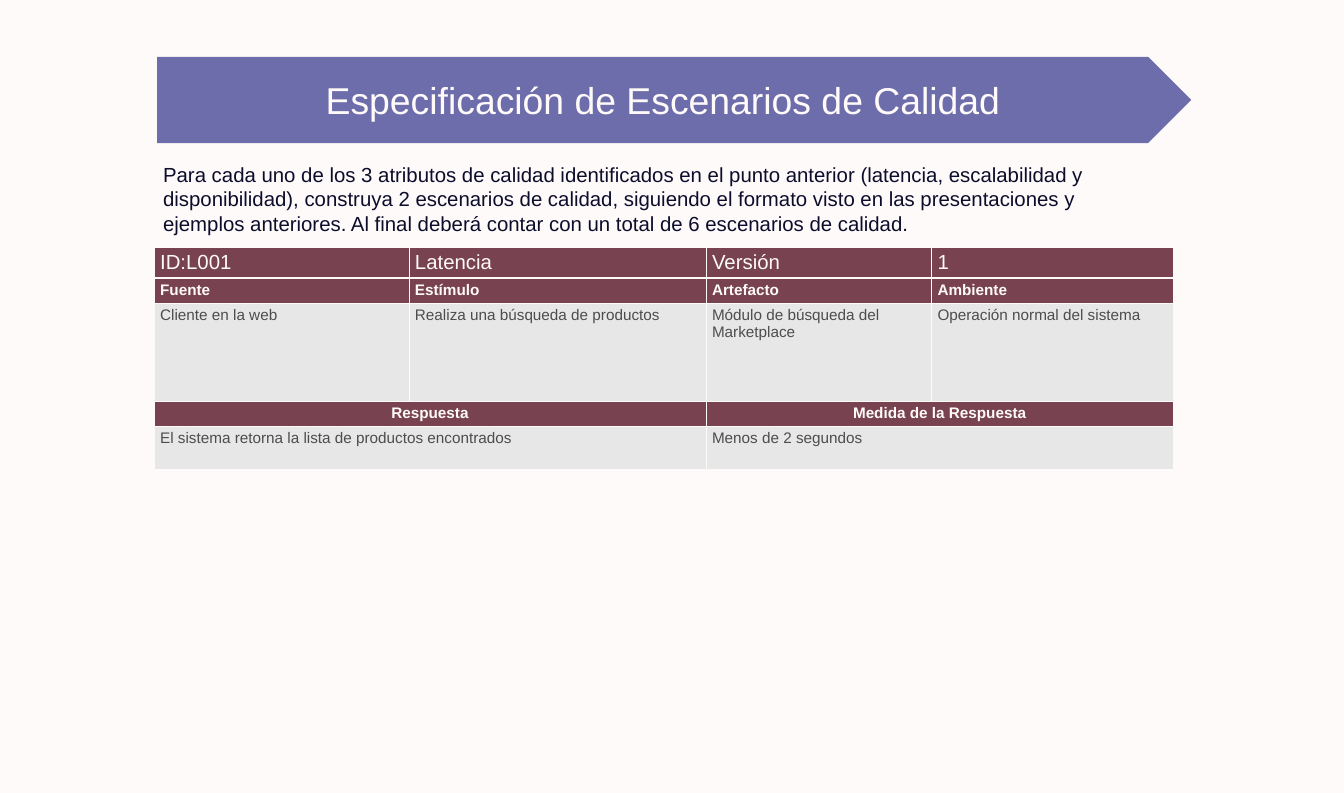
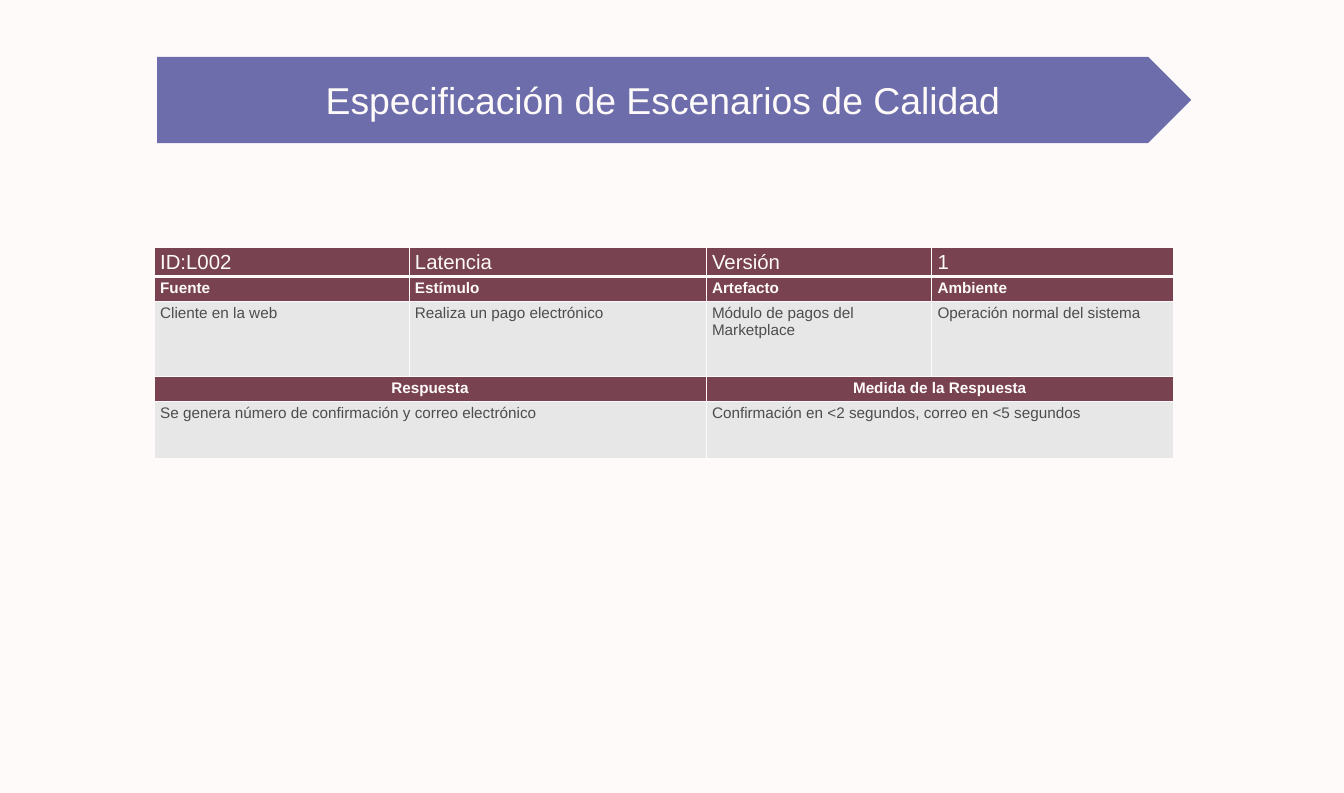
from lxml.etree import SubElement
from pptx import Presentation
from pptx.dml.color import RGBColor
from pptx.enum.shapes import MSO_SHAPE
from pptx.enum.text import MSO_ANCHOR, PP_ALIGN
from pptx.oxml import parse_xml
from pptx.oxml.ns import nsdecls, qn
from pptx.util import Inches, Pt

# Shared style
FONT = "Arial"
BACKGROUND = "FEFAFA"
BAND = "252884"
INK = "0C0D2B"
HEADER = "784250"
CELL = "E7E7E8"
CELL_TEXT = "4C4D4C"

TITLE = "Especificación de Escenarios de Calidad"
INTRO = (
    "Para cada uno de los 3 atributos de calidad identificados en el punto anterior "
    "(latencia, escalabilidad y disponibilidad), construya 2 escenarios de calidad, "
    "siguiendo el formato visto en las presentaciones y ejemplos anteriores. "
    "Al final deberá contar con un total de 6 escenarios de calidad."
)
COLUMN_WIDTHS = (4.17, 4.86, 3.69, 3.96)
FIELD_LABELS = ("Fuente", "Estímulo", "Artefacto", "Ambiente")
RESPONSE_LABELS = ("Respuesta", "Medida de la Respuesta")


def set_color(color_format, value):
    color_format.rgb = RGBColor.from_string(value)


def set_fill(fill, value, opacity=None):
    fill.solid()
    set_color(fill.fore_color, value)
    if opacity is not None:
        color = fill._xPr.find(qn("a:solidFill"))[0]
        SubElement(color, qn("a:alpha"), val=str(opacity * 1000))


def write_text(frame, text, size=18, color=INK, bold=False,
               align=PP_ALIGN.LEFT, anchor=MSO_ANCHOR.TOP):
    frame.word_wrap = True
    frame.vertical_anchor = anchor
    paragraph = frame.paragraphs[0]
    paragraph.alignment = align
    run = paragraph.add_run()
    run.text = text
    run.font.name = FONT
    run.font.size = Pt(size)
    run.font.bold = bold
    set_color(run.font.color, color)


def set_borders(cell, top=1, bottom=1):
    """Draw the four cell borders; widths are in points."""
    properties = cell._tc.get_or_add_tcPr()
    widths = {"lnL": 1, "lnR": 1, "lnT": top, "lnB": bottom}
    for index, (side, width) in enumerate(widths.items()):
        properties.insert(index, parse_xml(
            f'<a:{side} {nsdecls("a")} w="{Pt(width)}"><a:solidFill>'
            f'<a:srgbClr val="{BACKGROUND}"/></a:solidFill></a:{side}>'))


class ScenarioDeck:
    def __init__(self):
        self.presentation = Presentation()
        self.presentation.slide_width = Inches(21.99)
        self.presentation.slide_height = Inches(12.97)
        set_fill(self.presentation.slide_master.background.fill, BACKGROUND)
        self.slide = None

    def add_slide(self, title):
        layout = self.presentation.slide_layouts.get_by_name("Title Only")
        self.slide = self.presentation.slides.add_slide(layout)
        self.add_title(title)

    def add_title(self, text):
        left, top, width, height = map(Inches, (2.57, 0.93, 16.92, 1.41))
        band = self.slide.shapes.add_shape(
            MSO_SHAPE.PENTAGON, left, top, width, height)
        band.shadow.inherit = False
        set_fill(band.fill, BAND, opacity=67)
        band.line.fill.background()

        # The title is centred on the band without half of its arrow tip
        title = self.slide.shapes.title
        title.left, title.top, title.height = left, top, height
        title.width = width - height // 4
        write_text(title.text_frame, text, size=44, color=BACKGROUND,
                   align=PP_ALIGN.CENTER, anchor=MSO_ANCHOR.MIDDLE)
        title.element.addprevious(band.element)

    def add_paragraph(self, text):
        box = self.slide.shapes.add_textbox(
            Inches(2.57), Inches(2.6), Inches(16.4), Inches(1.31))
        write_text(box.text_frame, text, size=24)

    def add_scenario(self, heading, fields, responses, row_heights):
        rows = (heading, FIELD_LABELS, fields, RESPONSE_LABELS, responses)
        frame = self.slide.shapes.add_table(
            len(rows), len(COLUMN_WIDTHS), Inches(2.52), Inches(4.05),
            Inches(sum(COLUMN_WIDTHS)), Inches(sum(row_heights)))
        table = frame.table
        table.first_row = table.horz_banding = False
        for column, width in zip(table.columns, COLUMN_WIDTHS):
            column.width = Inches(width)
        for row, height in zip(table.rows, row_heights):
            row.height = Inches(height)

        for row_index, texts in enumerate(rows):
            is_label = texts in (FIELD_LABELS, RESPONSE_LABELS)
            is_header = is_label or row_index == 0
            # Fill and borders
            for cell in table.rows[row_index].cells:
                set_fill(cell.fill, HEADER if is_header else CELL)
                set_borders(cell, top=3 if row_index == 1 else 1,
                            bottom=3 if row_index == 0 else 1)
            # Text; two answers share the four columns
            span = len(COLUMN_WIDTHS) // len(texts)
            for index, text in enumerate(texts):
                first = index * span
                cell = table.cell(row_index, first)
                if span > 1:
                    cell.merge(table.cell(row_index, first + span - 1))
                centred = texts == RESPONSE_LABELS
                write_text(cell.text_frame, text,
                           size=24 if row_index == 0 else 18,
                           color=BACKGROUND if is_header else CELL_TEXT,
                           bold=is_label,
                           align=PP_ALIGN.CENTER if centred else PP_ALIGN.LEFT)


def main():
    deck = ScenarioDeck()

    # Search scenario
    deck.add_slide(TITLE)
    deck.add_paragraph(INTRO)
    deck.add_scenario(
        ("ID:L001", "Latencia", "Versión", "1"),
        ("Cliente en la web", "Realiza una búsqueda de productos",
         "Módulo de búsqueda del Marketplace", "Operación normal del sistema"),
        ("El sistema retorna la lista de productos encontrados",
         "Menos de 2 segundos"),
        row_heights=(0.5, 0.41, 1.6, 0.41, 0.7))

    # Payment scenario
    deck.add_slide(TITLE)
    deck.add_scenario(
        ("ID:L002", "Latencia", "Versión", "1"),
        ("Cliente en la web", "Realiza un pago electrónico",
         "Módulo de pagos del Marketplace", "Operación normal del sistema"),
        ("Se genera número de confirmación y correo electrónico",
         "Confirmación en <2 segundos, correo en <5 segundos"),
        row_heights=(0.47, 0.41, 1.22, 0.41, 0.93))

    deck.presentation.save("out.pptx")


if __name__ == "__main__":
    main()
